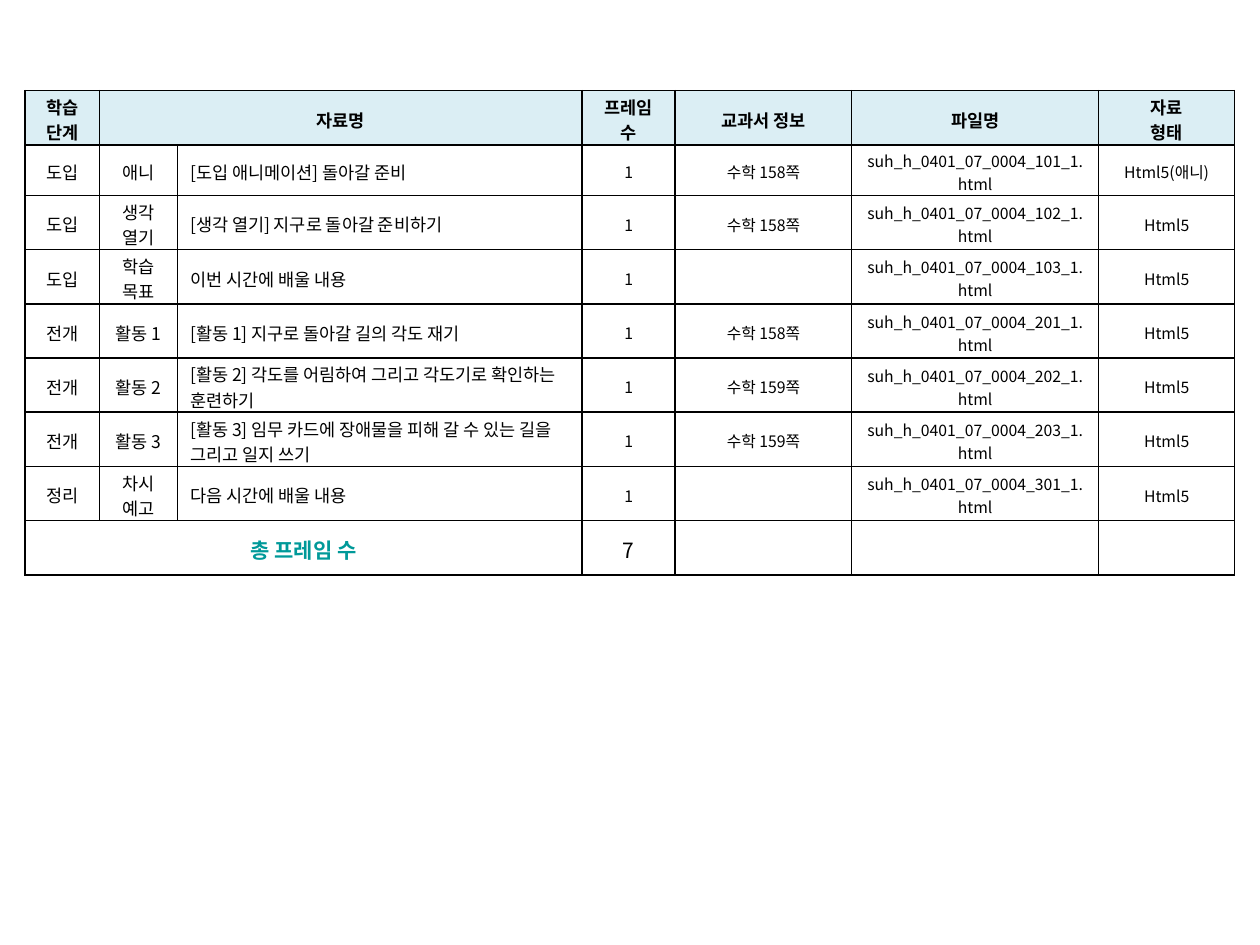
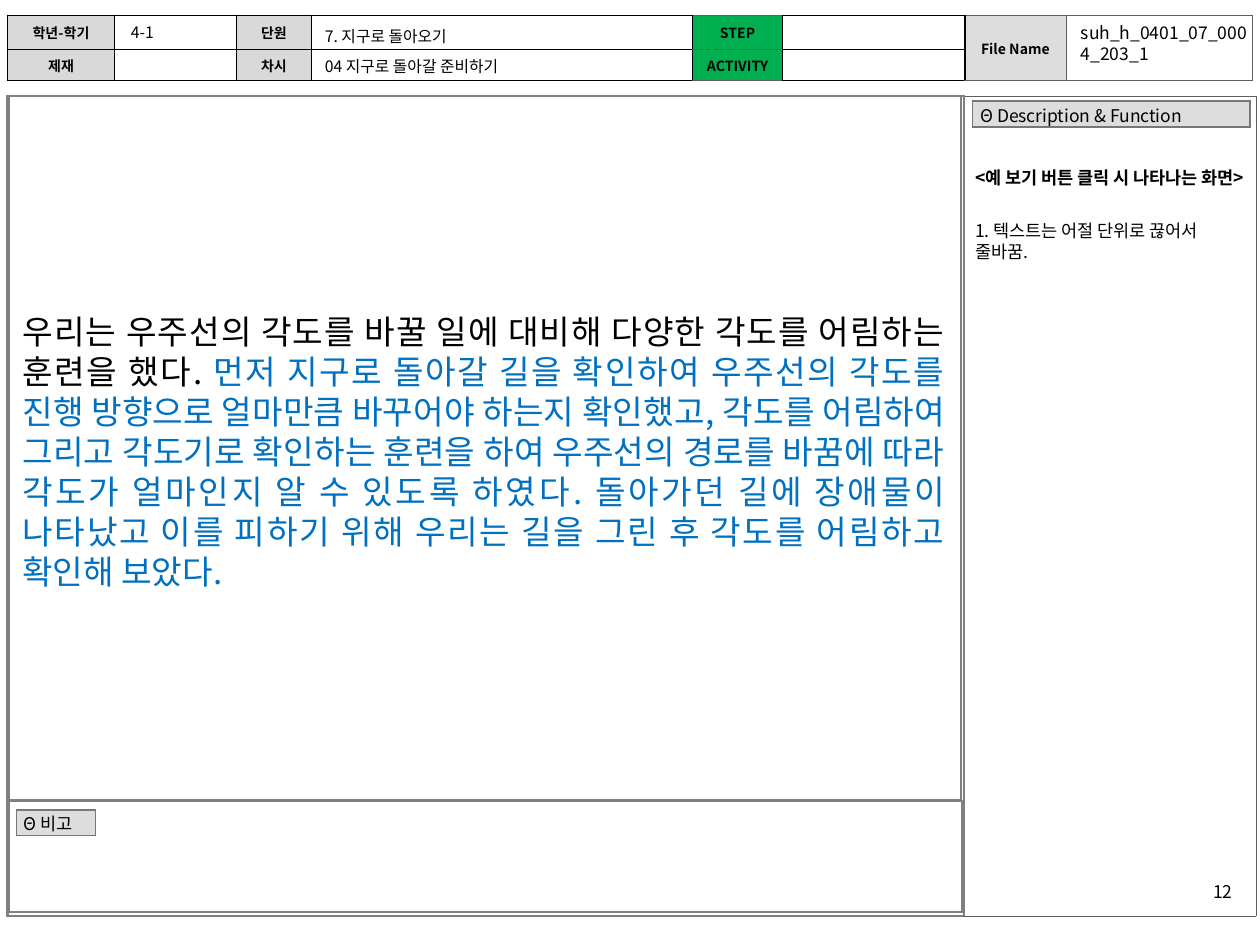
import pptx
import pptx.dml.color
import pptx.enum.shapes
import pptx.enum.text
import pptx.oxml.ns
import pptx.util
from lxml import etree

Inches, Pt = pptx.util.Inches, pptx.util.Pt
ALIGN = pptx.enum.text.PP_ALIGN
ANCHOR = pptx.enum.text.MSO_ANCHOR
qn = pptx.oxml.ns.qn

FONT = "Noto Sans CJK KR"
BLACK, WHITE, RED = "000000", "FFFFFF", "FF0000"
TEAL, BLUE, GREEN = "009999", "0070C0", "00B050"
HEAD_FILL, LABEL_FILL, TAG_FILL = "DBEEF4", "D9D9D9", "DDDDDD"
FRAME_LINE, TAG_LINE, THIN_LINE = ("808080", 1.5), ("777777", 1), ("5F5F5F", 0.25)
GRID_LINE = (BLACK, 1)

LESSON_COLUMNS = [0.59, 0.62, 3.21, 0.74, 1.4, 1.96, 1.08]
LESSON_ROWS = [0.43, 0.4] + [0.43] * 7
LESSON_HEAD = ["학습 단계", "자료명", "", "프레임 수", "교과서 정보", "파일명", "자료\n형태"]
# stage, part, title, textbook page, file number, format
LESSONS = [
    ("도입", "애니", "[도입 애니메이션] 돌아갈 준비", 158, 101, "Html5(애니)"),
    ("도입", "생각 열기", "[생각 열기] 지구로 돌아갈 준비하기", 158, 102, "Html5"),
    ("도입", "학습 목표", "이번 시간에 배울 내용", None, 103, "Html5"),
    ("전개", "활동 1", "[활동 1] 지구로 돌아갈 길의 각도 재기", 158, 201, "Html5"),
    ("전개", "활동 2", "[활동 2] 각도를 어림하여 그리고 각도기로 확인하는 훈련하기", 159, 202, "Html5"),
    ("전개", "활동 3", "[활동 3] 임무 카드에 장애물을 피해 갈 수 있는 길을 그리고 일지 쓰기",
     159, 203, "Html5"),
    ("정리", "차시 예고", "다음 시간에 배울 내용", None, 301, "Html5"),
]

HEADER_COLUMNS = [0.85, 0.97, 0.59, 3.03, 0.71, 1.45, 0.8, 1.48]
HEADER_LABELS = [["학년-학기", "", "단원", "", "STEP", "", "File Name", ""],
                 ["제재", "", "차시", "", "ACTIVITY", "", "", ""]]
HEADER_FILLS = {0: LABEL_FILL, 2: LABEL_FILL, 4: GREEN, 6: TAG_FILL}
# left, top, width, height, size, text
HEADER_VALUES = [
    (0.94, 0.13, 0.94, 0.24, 9, "4-1"),
    (2.48, 0.16, 3.03, 0.24, 9, "7. 지구로 돌아오기"),
    (2.48, 0.4, 2.99, 0.24, 9, "04 지구로 돌아갈 준비하기"),
    (8.48, 0.13, 1.52, 0.44, 10, "suh_h_0401_07_0004_203_1"),
]

ANSWER = [
    ("우리는 우주선의 각도를 바꿀 일에 대비해 다양한 각도를 어림하는 훈련을 했다. ", BLACK),
    ("먼저 지구로 돌아갈 길을 확인하여 우주선의 각도를 진행 방향으로 얼마만큼 바꾸어야 "
     "하는지 확인했고, 각도를 어림하여 그리고 각도기로 확인하는 훈련을 하여 우주선의 "
     "경로를 바꿈에 따라 각도가 얼마인지 알 수 있도록 하였다. 돌아가던 길에 장애물이 "
     "나타났고 이를 피하기 위해 우리는 길을 그린 후 각도를 어림하고 확인해 보았다.", BLUE),
]


def rgb(value):
    return pptx.dml.color.RGBColor.from_string(value)


def apply(target, formats):
    for name, value in formats.items():
        setattr(target, name, value)


def write(paragraph, text, size, color=BLACK, bold=False):
    run = paragraph.add_run()
    run.text = text
    apply(run.font, {"size": Pt(size), "bold": bold, "name": FONT})
    run.font.color.rgb = rgb(color)
    east_asian = etree.SubElement(run.font._element, qn("a:ea"))
    east_asian.set("typeface", FONT)


def border(cell, line):
    color, width = line
    properties = cell._tc.get_or_add_tcPr()
    for side in ("lnL", "lnR", "lnT", "lnB"):
        edge = etree.SubElement(properties, qn("a:" + side), w=str(Pt(width)))
        solid = etree.SubElement(edge, qn("a:solidFill"))
        etree.SubElement(solid, qn("a:srgbClr"), val=color)


def add_grid(slide, box, columns, rows, line_at):
    """Table without fills; line_at gives the border of each row and column."""
    left, top = box
    table = slide.shapes.add_table(
        len(rows), len(columns), Inches(left), Inches(top),
        Inches(sum(columns)), Inches(sum(rows))).table
    apply(table, {"first_row": False, "horz_banding": False})
    for column, width in zip(table.columns, columns):
        column.width = Inches(width)
    for r, height in enumerate(rows):
        table.rows[r].height = Inches(height)
        for c in range(len(columns)):
            cell = table.cell(r, c)
            border(cell, line_at(r, c))
            cell.fill.background()
            apply(cell, {"margin_top": 0, "margin_bottom": 0})
            end = etree.SubElement(cell.text_frame.paragraphs[0]._p, qn("a:endParaRPr"))
            end.set("sz", "800")
    return table


def fill_cell(cell, text, size, fill=None, align=ALIGN.CENTER, pad=0.03,
              spacing=None, **font):
    apply(cell, {"vertical_anchor": ANCHOR.MIDDLE, "margin_top": Inches(pad)})
    if fill:
        cell.fill.solid()
        cell.fill.fore_color.rgb = rgb(fill)
    for i, line in enumerate(text.split("\n") if text else []):
        frame = cell.text_frame
        paragraph = frame.add_paragraph() if i else frame.paragraphs[0]
        apply(paragraph, {"alignment": align, "line_spacing": spacing})
        write(paragraph, line, size, **font)


def add_text(slide, box, text, size, align=ALIGN.LEFT):
    frame = slide.shapes.add_textbox(*map(Inches, box)).text_frame
    frame.word_wrap = True
    paragraph = frame.paragraphs[0]
    apply(paragraph, {"alignment": align, "line_spacing": Pt(size * 1.2)})
    write(paragraph, text, size)


def add_tag(slide, box, text):
    left, top, width, height = box
    tag = add_grid(slide, (left, top), [width], [height], lambda r, c: TAG_LINE).cell(0, 0)
    apply(tag, {"margin_left": Inches(0.06), "margin_right": Inches(0.06)})
    fill_cell(tag, text, 10, TAG_FILL, ALIGN.LEFT, pad=0.02, spacing=0.9)


def lesson_table(slide, box):
    table = add_grid(slide, box, LESSON_COLUMNS, LESSON_ROWS, lambda r, c: GRID_LINE)
    last = len(LESSON_ROWS) - 1
    table.cell(0, 1).merge(table.cell(0, 2))
    table.cell(last, 0).merge(table.cell(last, 2))

    # Headings
    for c, heading in enumerate(LESSON_HEAD):
        fill_cell(table.cell(0, c), heading, 10, HEAD_FILL, bold=True)

    # Lessons
    for r, (stage, part, title, page, number, kind) in enumerate(LESSONS, 1):
        values = [stage, part, title, "1", f"수학 {page}쪽" if page else "",
                  f"suh_h_0401_07_0004_{number}_1.html", kind]
        for c, value in enumerate(values):
            small = c > 2 or (r == 1 and c > 2)
            fill_cell(table.cell(r, c), value, 9 if small else 10,
                      align=ALIGN.LEFT if c == 2 else ALIGN.CENTER)

    # Total
    fill_cell(table.cell(last, 0), "총 프레임 수", 12, color=TEAL, bold=True)
    fill_cell(table.cell(last, 3), str(len(LESSONS)), 12)


def storyboard_header(slide, box):
    table = add_grid(slide, box, HEADER_COLUMNS, [0.27, 0.25],
                     lambda r, c: THIN_LINE if c in (4, 6, 7) else (BLACK, 0.75))
    for r, labels in enumerate(HEADER_LABELS):
        for c, label in enumerate(labels):
            if label:
                fill_cell(table.cell(r, c), label, 8, HEADER_FILLS[c], pad=0, bold=True)
    for c in (6, 7):
        table.cell(0, c).merge(table.cell(1, c))
    for *place, size, text in HEADER_VALUES:
        align = ALIGN.JUSTIFY if size == 10 else ALIGN.LEFT
        add_text(slide, place, text, size, align)


def storyboard_frame(slide, box):
    left, top = box
    add_grid(slide, box, [7.59, 2.32], [6.51], lambda r, c: THIN_LINE if c else FRAME_LINE)
    add_grid(slide, (left + 0.01, top + 5.6), [7.57], [0.88], lambda r, c: FRAME_LINE)
    add_tag(slide, (left + 0.07, top + 5.67, 0.63, 0.2), "Θ 비고")
    add_text(slide, (left + 9.15, top + 6.18, 0.67, 0.27), "12", 10, ALIGN.RIGHT)


def add_panel(slide, box, line=None):
    panel = slide.shapes.add_shape(
        pptx.enum.shapes.MSO_SHAPE.RECTANGLE, *map(Inches, box))
    panel.shadow.inherit = False
    panel.fill.solid()
    panel.fill.fore_color.rgb = rgb(WHITE)
    if line:
        panel.line.color.rgb = rgb(line[0])
        panel.line.width = Pt(line[1])
    else:
        panel.line.fill.background()
    return panel


def viewer(slide, box):
    left, top, width, height = box
    add_panel(slide, box, ("808080", 1))
    answer = add_panel(slide, (left + 0.01, top + 1.19, width - 0.04, 2.96)).text_frame
    apply(answer, {"word_wrap": True, "vertical_anchor": ANCHOR.MIDDLE,
                   "margin_top": Inches(0.35)})
    paragraph = answer.paragraphs[0]
    apply(paragraph, {"alignment": ALIGN.JUSTIFY, "line_spacing": Pt(22.8)})
    for text, color in ANSWER:
        write(paragraph, text, 19, color)


def description(slide, box):
    left, top, width, height = box
    add_tag(slide, (left + 0.08, top, 2.2, 0.21), "Θ Description & Function")
    notes = slide.shapes.add_textbox(
        Inches(left), Inches(top + 0.48), Inches(width), Inches(height)).text_frame
    notes.word_wrap = True
    heading, rule = notes.paragraphs[0], notes.add_paragraph()
    apply(heading, {"line_spacing": Pt(12)})
    apply(rule, {"line_spacing": Pt(12), "space_before": Pt(18)})
    write(heading, "<예 보기 버튼 클릭 시 나타나는 화면>", 10, bold=True)
    write(rule, "1. 텍스트는 어절 단위로 끊어서 줄바꿈.", 10)


def main():
    deck = pptx.Presentation()
    apply(deck, {"slide_width": Inches(10), "slide_height": Inches(7.5)})
    blank = deck.slide_layouts[6]

    # Lesson overview
    lesson_table(deck.slides.add_slide(blank), (0.2, 0.72))

    # Storyboard
    storyboard = deck.slides.add_slide(blank)
    storyboard_frame(storyboard, (0.06, 0.76))
    storyboard_header(storyboard, (0.06, 0.12))
    viewer(storyboard, (0.07, 0.76, 7.56, 5.59))
    description(storyboard, (7.64, 0.8, 2.36, 1.03))

    deck.save("out.pptx")


if __name__ == "__main__":
    main()
